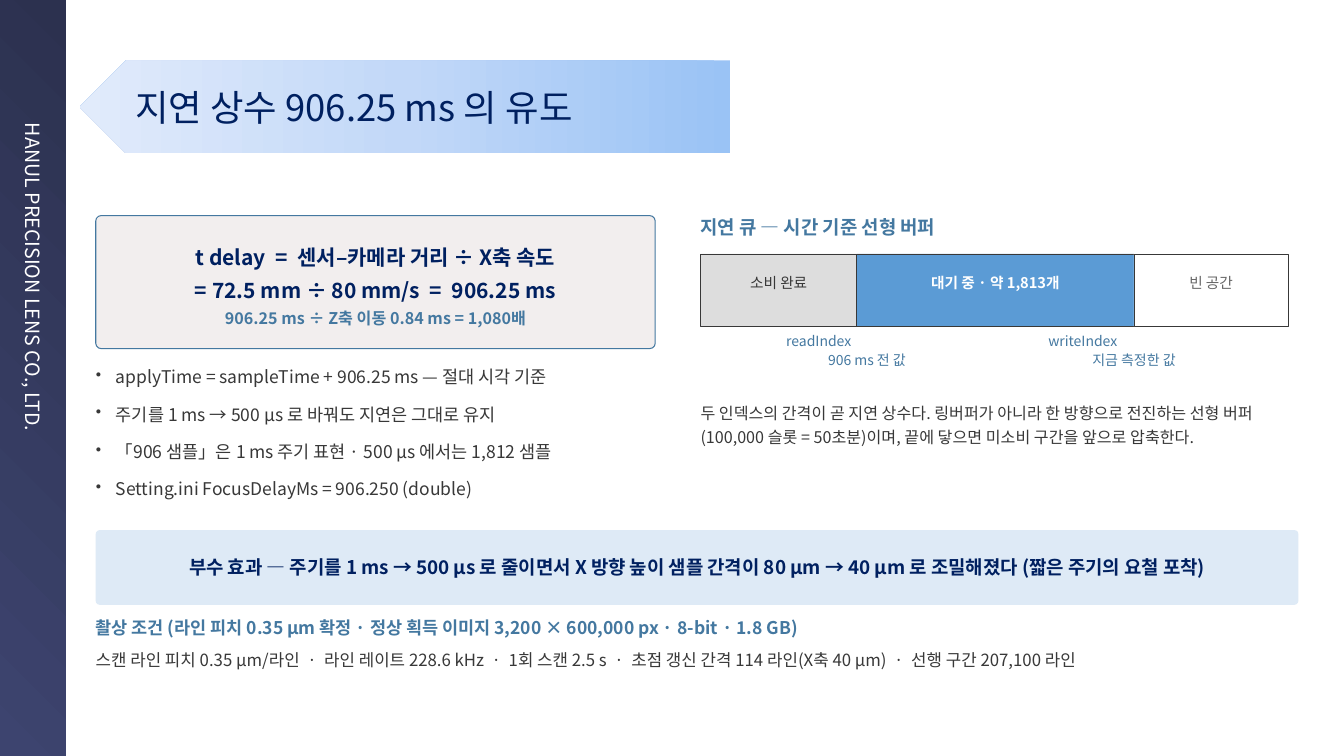
from dataclasses import dataclass

import pptx
import pptx.util
import pptx.dml.color
import pptx.enum.shapes
import pptx.enum.text
import pptx.oxml
import pptx.oxml.ns
from lxml import etree

Pt = pptx.util.Pt
RGB = pptx.dml.color.RGBColor
Kind = pptx.enum.shapes.MSO_SHAPE
Align = pptx.enum.text.PP_ALIGN
Anchor = pptx.enum.text.MSO_ANCHOR
Fit = pptx.enum.text.MSO_AUTO_SIZE
qn = pptx.oxml.ns.qn

FONT = "Noto Sans CJK KR"
NAVY = RGB(0x00, 0x20, 0x60)
STEEL = RGB(0x44, 0x78, 0xA0)
BLUE = RGB(0x5B, 0x9B, 0xD5)
PALE = RGB(0xDE, 0xEA, 0xF6)
CREAM = RGB(0xF2, 0xEE, 0xEE)
DARK = RGB(0x38, 0x38, 0x38)
GRAY = RGB(0x66, 0x66, 0x66)
LIGHT = RGB(0xDD, 0xDD, 0xDD)
WHITE = RGB(0xFF, 0xFF, 0xFF)
BAR = [(0, RGB(0x2C, 0x31, 0x4F)), (100, RGB(0x3D, 0x44, 0x6F))]
SKY = [(0, RGB(0x9A, 0xC3, 0xF5)), (50, RGB(0xC2, 0xD8, 0xF8)),
       (100, RGB(0xE1, 0xEB, 0xFB))]

WIDE, HIGH = 960, 540
LEFT, RIGHT = 68.4, 500.4      # column starts
COL, QUEUE, FULL = 399.6, 419.8, 859


@dataclass
class Rect:
    x: float
    y: float
    w: float
    h: float


@dataclass
class Line:
    text: str
    size: float
    color: RGB
    bold: bool = False
    align: Align = Align.LEFT
    lead: float = 1.0
    after: float = 0
    dot: bool = False


@dataclass
class Cell:
    text: str
    w: float
    fill: RGB
    color: RGB
    bold: bool = False


@dataclass
class Mark:
    text: str
    x: float
    w: float


def write(frame, lines: list[Line], pads=(0, 0, 0, 0)) -> None:
    frame.margin_left, frame.margin_top, frame.margin_right, frame.margin_bottom = map(Pt, pads)
    for i, line in enumerate(lines):
        para = frame.paragraphs[0] if i == 0 else frame.add_paragraph()
        para.add_run().text = line.text
        para.alignment = line.align
        para.line_spacing = line.lead
        para.space_after = Pt(line.after)
        if line.dot:
            props = para._p.get_or_add_pPr()
            props.set("marL", str(Pt(14.4)))
            props.set("indent", str(Pt(-14.4)))
            etree.SubElement(props, qn("a:buSzPct"), val="90000")
            etree.SubElement(props, qn("a:buChar"), char="•")
        font = para.font
        font.size, font.bold, font.name = Pt(line.size), line.bold, FONT
        font.color.rgb = line.color
        etree.SubElement(font._element, qn("a:ea"), typeface=FONT)


def label(slide, box: Rect, lines: list[Line], wrap: bool = True):
    shape = slide.shapes.add_textbox(Pt(box.x), Pt(box.y), Pt(box.w), Pt(box.h))
    frame = shape.text_frame
    frame.word_wrap = wrap
    frame.auto_size = Fit.SHAPE_TO_FIT_TEXT
    write(frame, lines)
    return frame


def block(slide, kind: Kind, box: Rect, fill: RGB | None = None,
          edge: RGB | None = None, thick: float = 0.5, curve: float | None = None):
    shape = slide.shapes.add_shape(kind, Pt(box.x), Pt(box.y), Pt(box.w), Pt(box.h))
    shape.shadow.inherit = False
    if fill is not None:
        shape.fill.solid()
        shape.fill.fore_color.rgb = fill
    if edge is None:
        shape.line.fill.background()
    else:
        shape.line.color.rgb = edge
        shape.line.width = Pt(thick)
    if curve is not None:
        shape.adjustments[0] = curve
    shape.text_frame.word_wrap = True
    shape.text_frame.vertical_anchor = Anchor.MIDDLE
    return shape


def blend(shape, stops: list[tuple[int, RGB]], angle: int) -> None:
    shape.fill.gradient()
    grad = shape._element.spPr.find(qn("a:gradFill"))
    grad.set("rotWithShape", "1")
    ramp = grad.find(qn("a:gsLst"))
    for old in list(ramp):
        ramp.remove(old)
    for pos, color in stops:
        stop = etree.SubElement(ramp, qn("a:gs"), pos=str(pos * 1000))
        etree.SubElement(stop, qn("a:srgbClr"), val=str(color))
    grad.find(qn("a:lin")).set("ang", str(angle * 60000))


def main() -> None:
    deck = pptx.Presentation()
    deck.slide_width, deck.slide_height = Pt(WIDE), Pt(HIGH)
    slide = deck.slides.add_slide(deck.slide_layouts[6])
    mid = Align.CENTER

    # Side bar, turned to run down the left edge
    thin = 47
    side = block(slide, Kind.RECTANGLE,
                 Rect((thin - HIGH) / 2, (HIGH - thin) / 2, HIGH, thin))
    side.rotation = 90
    blend(side, BAR, 45)
    write(side.text_frame, [Line("HANUL PRECISION LENS CO., LTD.", 14, WHITE)],
          (87.8, 3.6, 7.2, 3.6))

    # Title on its arrow
    arrow = block(slide, Kind.PENTAGON, Rect(57, 43.2, 464.4, 66.2))
    arrow._element.spPr.find(qn("a:xfrm")).set("flipH", "1")
    blend(arrow, SKY, 0)
    title = label(slide, Rect(96.5, 43.2, 393.8, 66.2),
                  [Line("지연 상수 906.25 ms 의 유도", 26, NAVY)], wrap=False)
    title.vertical_anchor = Anchor.MIDDLE

    # Formula card
    pads = (4.3, 1.4, 4.3, 1.4)
    card = block(slide, Kind.ROUNDED_RECTANGLE, Rect(LEFT, 154, COL, 95),
                 CREAM, STEEL, 0.75, 0.04)
    sums = [("t delay  =  센서–카메라 거리 ÷ X축 속도", 15, NAVY),
            ("= 72.5 mm ÷ 80 mm/s  =  906.25 ms", 15, NAVY),
            ("906.25 ms ÷ Z축 이동 0.84 ms = 1,080배", 11.5, STEEL)]
    write(card.text_frame, [Line(*s, True, mid, 1.32) for s in sums], pads)

    # Bullets
    notes = ["applyTime = sampleTime + 906.25 ms — 절대 시각 기준",
             "주기를 1 ms → 500 µs 로 바꿔도 지연은 그대로 유지",
             "「906 샘플」은 1 ms 주기 표현 · 500 µs 에서는 1,812 샘플",
             "Setting.ini FocusDelayMs = 906.250 (double)"]
    label(slide, Rect(LEFT, 257.8, COL, 244.8),
          [Line(n, 12.5, DARK, lead=1.25, after=8, dot=True) for n in notes])

    # Delay queue
    label(slide, Rect(RIGHT, 154, QUEUE, 20.2),
          [Line("지연 큐 — 시간 기준 선형 버퍼", 13.5, STEEL, True)])
    x = RIGHT
    for cell in (Cell("소비 완료", 111.6, LIGHT, DARK),
                 Cell("대기 중 · 약 1,813개", 198, BLUE, WHITE, True),
                 Cell("빈 공간", 110.2, WHITE, GRAY)):
        block(slide, Kind.RECTANGLE, Rect(x, 181.4, cell.w, 51.8), cell.fill, DARK)
        label(slide, Rect(x, 195.8, cell.w, 21.6),
              [Line(cell.text, 10.5, cell.color, cell.bold, mid)])
        x += cell.w
    for mark in (Mark("readIndex\n906 ms 전 값", 561.6, 115.2),
                 Mark("writeIndex\n지금 측정한 값", 748.8, 122.4)):
        label(slide, Rect(mark.x, 237.6, mark.w, 36),
              [Line(mark.text, 10, STEEL, align=mid, lead=1.15)])
    label(slide, Rect(RIGHT, 284.4, QUEUE, 39.6), [Line(
        "두 인덱스의 간격이 곧 지연 상수다. 링버퍼가 아니라 한 방향으로 전진하는 선형 버퍼"
        "(100,000 슬롯 = 50초분)이며, 끝에 닿으면 미소비 구간을 앞으로 압축한다.",
        11.5, DARK, lead=1.25)])

    # Side effect banner
    band = block(slide, Kind.ROUNDED_RECTANGLE, Rect(LEFT, 378.7, FULL, 53.3),
                 PALE, curve=0.05)
    write(band.text_frame, [Line(
        "부수 효과 — 주기를 1 ms → 500 µs 로 줄이면서 X 방향 높이 샘플 간격이 "
        "80 µm → 40 µm 로 조밀해졌다 (짧은 주기의 요철 포착)",
        13.5, NAVY, True, mid)], pads)

    # Imaging conditions
    label(slide, Rect(LEFT, 440.6, FULL, 62), [
        Line("촬상 조건 (라인 피치 0.35 µm 확정 · 정상 획득 이미지 "
             "3,200 × 600,000 px · 8-bit · 1.8 GB)", 12.5, STEEL, True, after=5),
        Line("스캔 라인 피치 0.35 µm/라인  ·  라인 레이트 228.6 kHz  ·  1회 스캔 2.5 s  ·  "
             "초점 갱신 간격 114 라인(X축 40 µm)  ·  선행 구간 207,100 라인",
             12, DARK, lead=1.25)])

    deck.save("out.pptx")


if __name__ == "__main__":
    main()
